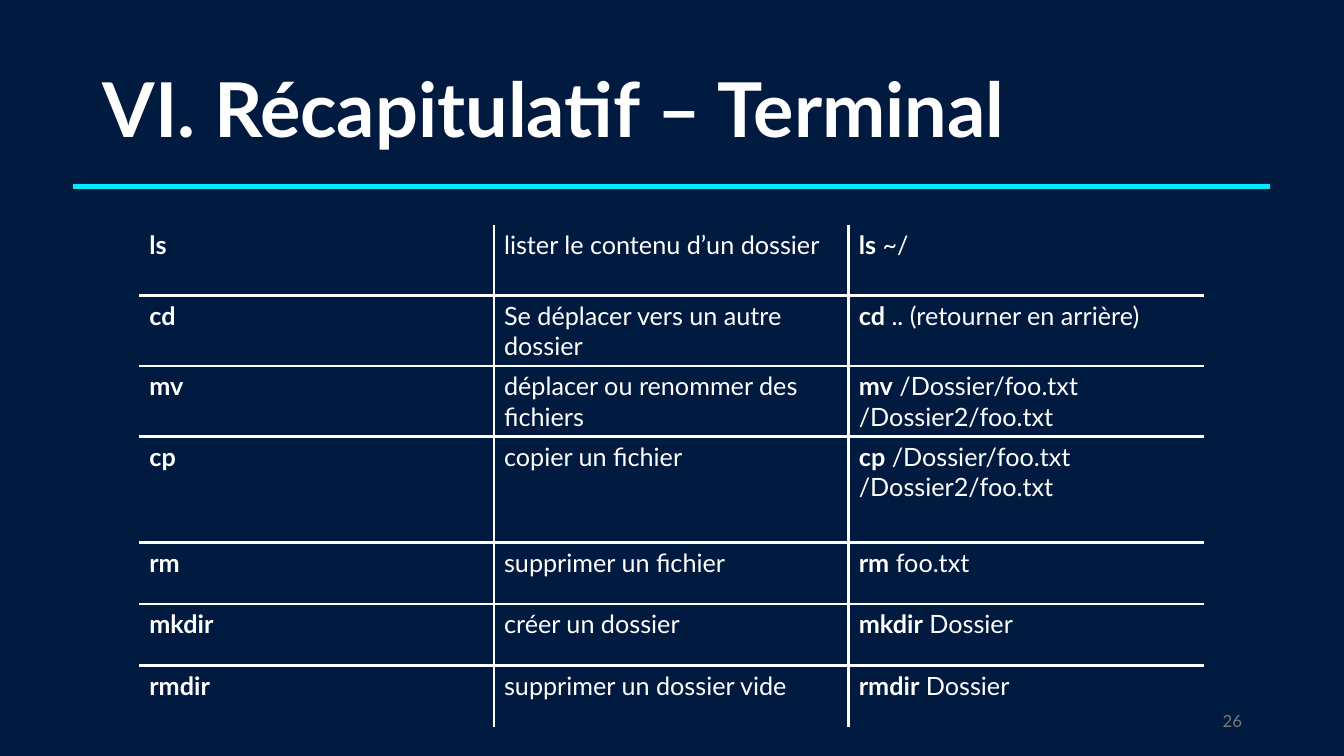
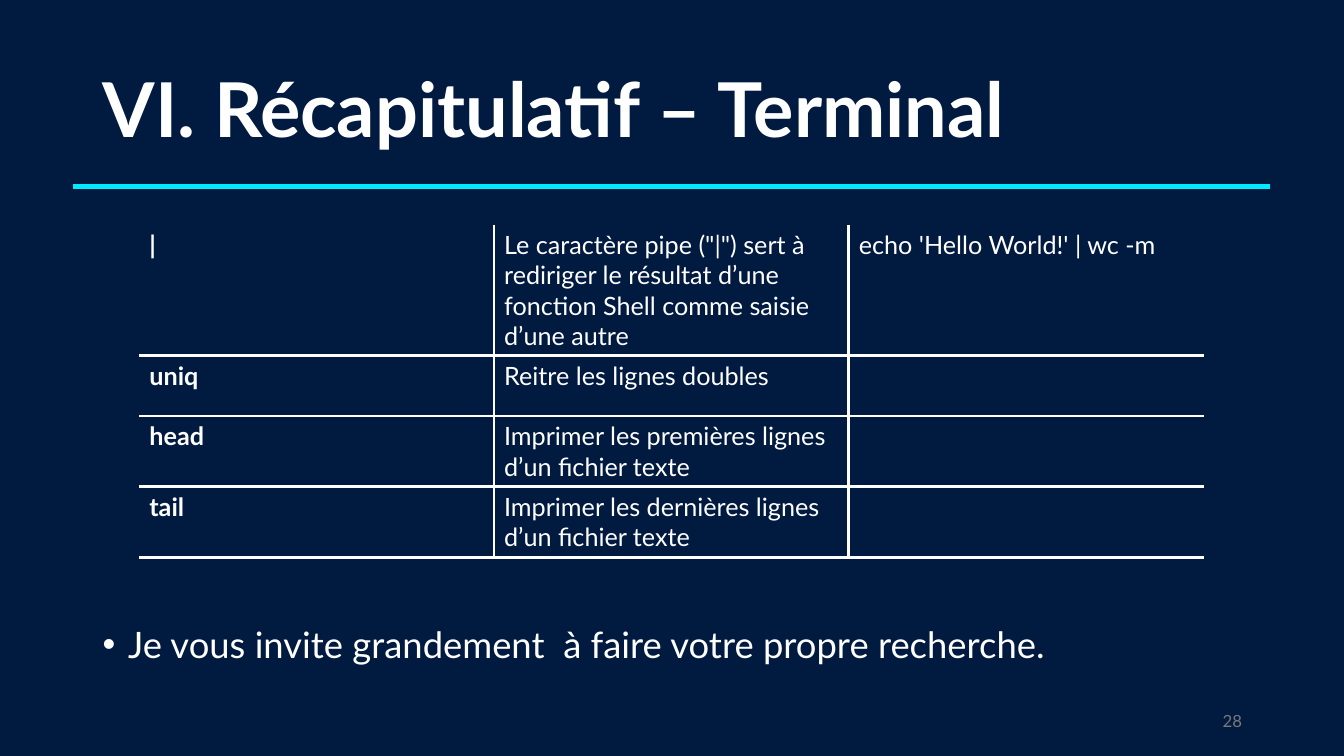
from lxml import etree
from pptx import Presentation
from pptx.dml.color import RGBColor
from pptx.enum.shapes import MSO_CONNECTOR as Connector
from pptx.enum.text import MSO_ANCHOR as Anchor, MSO_AUTO_SIZE as AutoSize, PP_ALIGN as Align
from pptx.oxml.ns import qn
from pptx.util import Cm, Pt

COLORS = {"background": "001A40", "text": "FFFFFF", "accent": "00EBFF", "number": "797979"}
FONT = "Lato"
TITLE = "VI. Récapitulatif – Terminal"

# Boxes in centimetres: left, top, width, height
SLIDE_SIZE = (33.87, 19.05)
TITLE_BOX = (2.34, 1.02, 29.21, 3.68)
RULE_BOX = (1.85, 4.7, 30.15, 0)
NUMBER_BOX = (23.93, 17.65, 7.62, 1.02)
TABLE_BOX = (3.51, 5.66, 26.82)
NOTE_BOX = (2.34, 15.01, 29.21, 2.16)

# Each row: height, command, description, example as (bold part, plain part)
FILE_COMMANDS = [
    (1.78, "ls", "lister le contenu d’un dossier", ("ls", " ~/")),
    (1.78, "cd", "Se déplacer vers un autre dossier", ("cd", " .. (retourner en arrière)")),
    (1.78, "mv", "déplacer ou renommer des fichiers", ("mv", " /Dossier/foo.txt /Dossier2/foo.txt")),
    (2.67, "cp", "copier un fichier", ("cp", " /Dossier/foo.txt /Dossier2/foo.txt")),
    (1.55, "rm", "supprimer un fichier", ("rm", " foo.txt")),
    (1.55, "mkdir", "créer un dossier", ("mkdir", " Dossier")),
    (1.55, "rmdir", "supprimer un dossier vide", ("rmdir", " Dossier")),
]
TEXT_COMMANDS = [
    (3.3, "|", "Le caractère pipe (\"|\") sert à rediriger le résultat d’une fonction Shell "
               "comme saisie d’une autre", ("", "echo 'Hello World!' | wc -m")),
    (1.52, "uniq", "Reitre les lignes doubles", ("", "")),
    (1.78, "head", "Imprimer les premières lignes d’un fichier texte", ("", "")),
    (1.78, "tail", "Imprimer les dernières lignes d’un fichier texte", ("", "")),
]


def color(name):
    return RGBColor.from_string(COLORS[name])


def to_cm(box):
    return [Cm(length) for length in box]


def add_run(paragraph, text, size, bold=False, color_name="text"):
    run = paragraph.add_run()
    run.text = text
    run.font.name = FONT
    run.font.size = Pt(size)
    run.font.bold = bold
    run.font.color.rgb = color(color_name)


def add_title(slide, box, text):
    title = slide.shapes.title
    title.left, title.top, title.width, title.height = to_cm(box)
    frame = title.text_frame
    frame.auto_size = AutoSize.NONE
    frame.vertical_anchor = Anchor.MIDDLE
    paragraph = frame.paragraphs[0]
    paragraph.alignment = Align.LEFT
    paragraph.line_spacing = 0.9
    add_run(paragraph, text, 54, bold=True)


def add_rule(slide, box):
    left, top, width, height = to_cm(box)
    rule = slide.shapes.add_connector(
        Connector.STRAIGHT, left + width, top, left, top + height)
    rule.line.color.rgb = color("accent")
    rule.line.width = Pt(3.75)
    etree.SubElement(rule._element.spPr, qn("a:effectLst"))


def add_text_box(slide, box, anchor):
    frame = slide.shapes.add_textbox(*to_cm(box)).text_frame
    frame.word_wrap = True
    frame.vertical_anchor = anchor
    return frame.paragraphs[0]


def add_number(slide, box, number):
    paragraph = add_text_box(slide, box, Anchor.MIDDLE)
    paragraph.alignment = Align.RIGHT
    add_run(paragraph, str(number), 12, color_name="number")


def add_note(slide, box, text):
    paragraph = add_text_box(slide, box, Anchor.TOP)
    paragraph.line_spacing = 1.5
    paragraph.space_before = Pt(10)
    # Bullet with a hanging indent
    properties = paragraph._p.get_or_add_pPr()
    properties.set("marL", str(Cm(0.64)))
    properties.set("indent", str(-Cm(0.64)))
    etree.SubElement(properties, qn("a:buFont"), typeface="Arial")
    etree.SubElement(properties, qn("a:buChar"), char="•")
    add_run(paragraph, text, 26)


def set_borders(cell, visible):
    properties = cell._tc.get_or_add_tcPr()
    for side in "LRTB":
        line = etree.SubElement(properties, qn(f"a:ln{side}"), w=str(Pt(2.25)))
        if side in visible:
            fill = etree.SubElement(line, qn("a:solidFill"))
            etree.SubElement(fill, qn("a:srgbClr"), val=COLORS["text"])
        else:
            etree.SubElement(line, qn("a:noFill"))


def add_command_table(slide, box, rows, closed):
    left, top, width = to_cm(box)
    height = Cm(sum(row[0] for row in rows))
    table = slide.shapes.add_table(len(rows), 3, left, top, width, height).table
    table.first_row = table.horz_banding = False
    last_row = len(rows) - 1
    for row_index, (row_height, command, description, example) in enumerate(rows):
        table.rows[row_index].height = Cm(row_height)
        contents = [(command, ""), ("", description), example]
        for column_index, parts in enumerate(contents):
            cell = table.cell(row_index, column_index)
            # Inner lines only, plus the bottom edge of a closed table
            set_borders(cell, {
                side for side, shown in (
                    ("L", column_index > 0), ("R", column_index < 2),
                    ("T", row_index > 0), ("B", closed or row_index < last_row),
                ) if shown})
            cell.fill.background()
            for text, bold in zip(parts, (True, False)):
                if text:
                    add_run(cell.text_frame.paragraphs[0], text, 18, bold)


def add_recap_slide(presentation, number, rows, closed=False, note=None):
    slide = presentation.slides.add_slide(presentation.slide_layouts[5])
    add_title(slide, TITLE_BOX, TITLE)
    add_rule(slide, RULE_BOX)
    add_command_table(slide, TABLE_BOX, rows, closed)
    add_number(slide, NUMBER_BOX, number)
    if note:
        add_note(slide, NOTE_BOX, note)


def main():
    presentation = Presentation()
    presentation.slide_width, presentation.slide_height = to_cm(SLIDE_SIZE)
    background = presentation.slide_master.background.fill
    background.solid()
    background.fore_color.rgb = color("background")

    add_recap_slide(presentation, 26, FILE_COMMANDS)
    add_recap_slide(presentation, 28, TEXT_COMMANDS, closed=True,
                    note="Je vous invite grandement  à faire votre propre recherche.")
    presentation.save("out.pptx")


if __name__ == "__main__":
    main()
